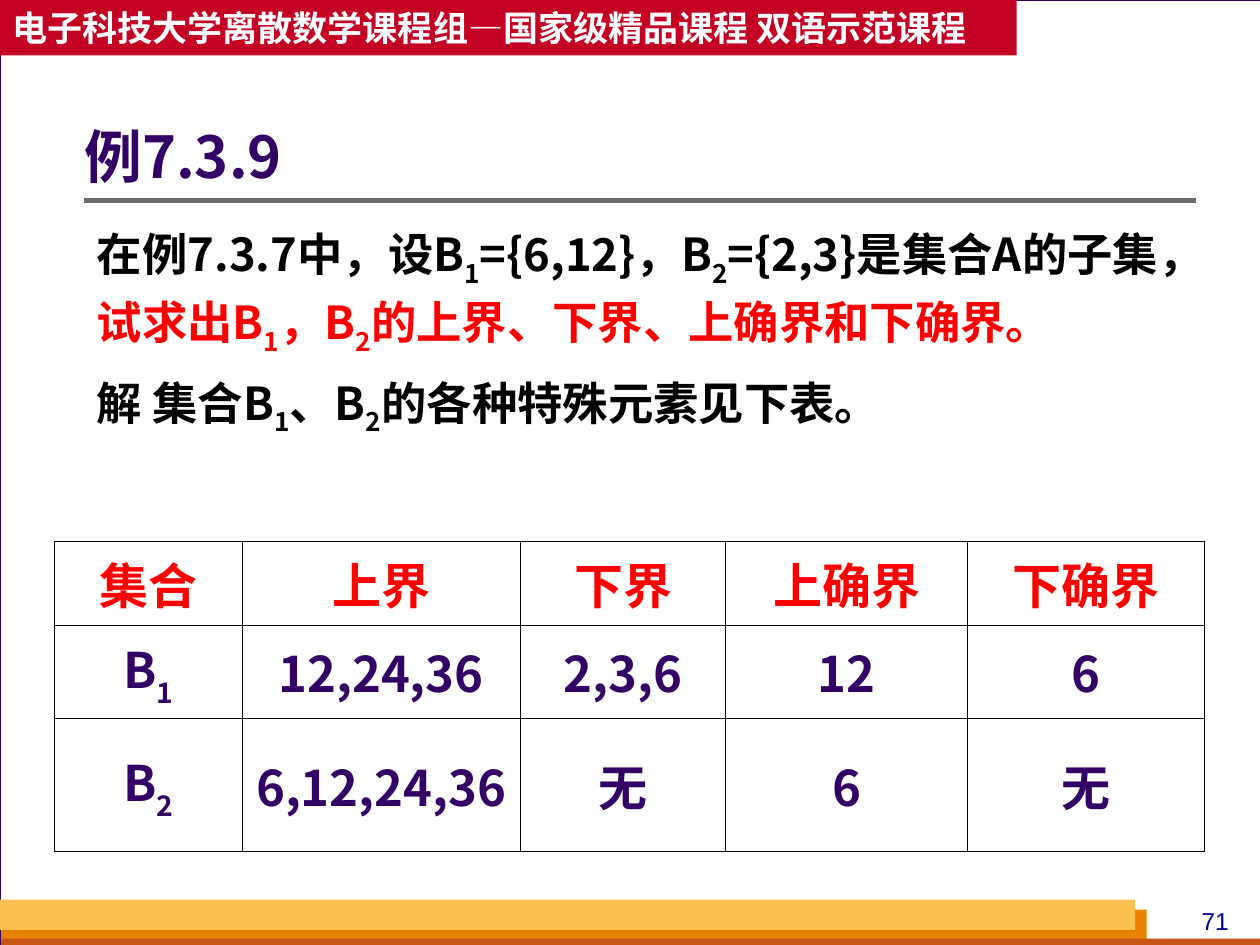
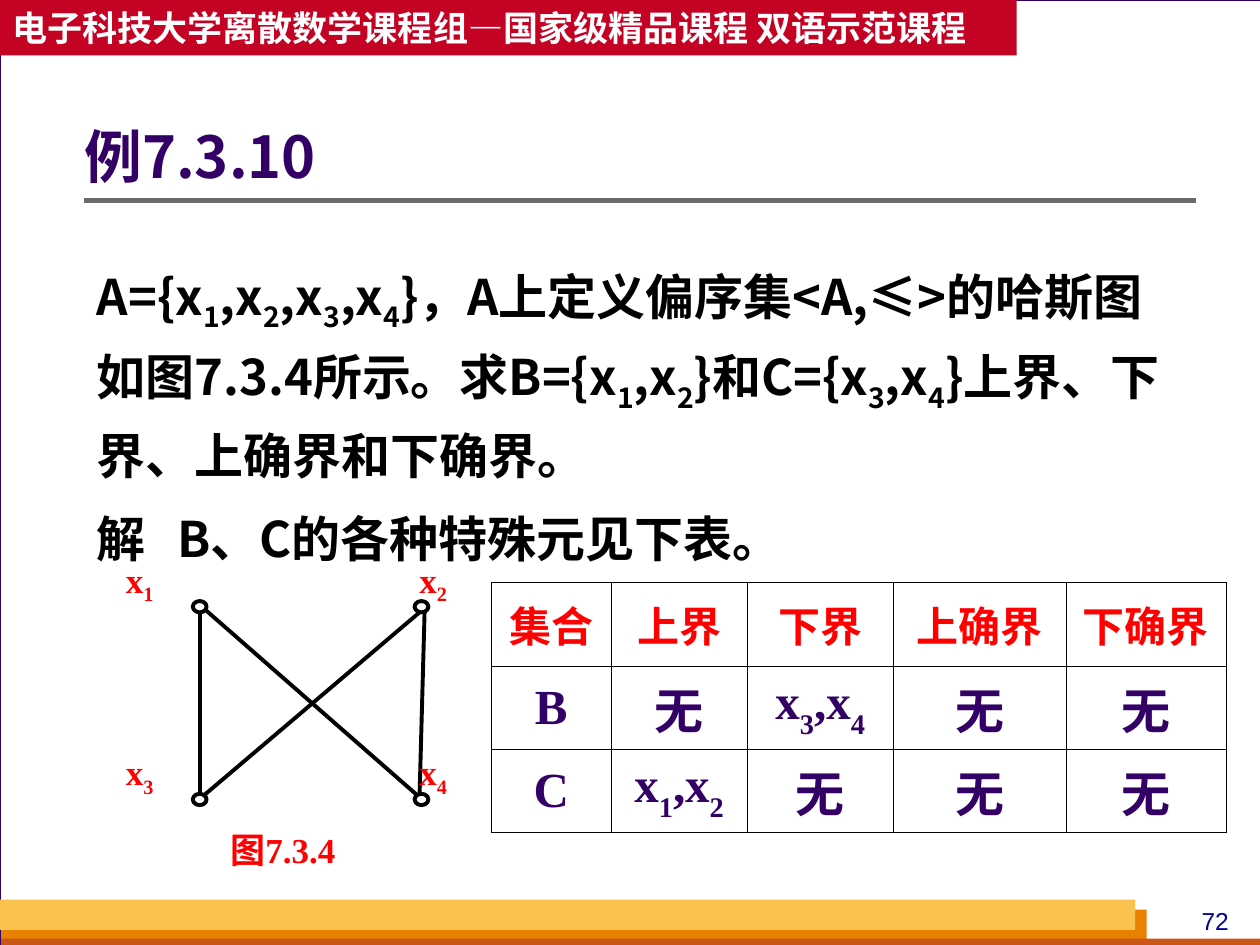
"""Build two lecture slides on bounds of subsets in partially ordered sets."""
from itertools import product

from lxml.etree import SubElement
from pptx import Presentation
from pptx.dml.color import RGBColor
from pptx.enum.shapes import MSO_CONNECTOR, MSO_SHAPE
from pptx.enum.text import MSO_ANCHOR, PP_ALIGN
from pptx.oxml.ns import qn
from pptx.util import Inches, Pt

SANS, SERIF, PLAIN = "Noto Sans CJK SC", "Times New Roman", "Arial"
BLACK, WHITE, RED, PURPLE, NAVY = "000000", "FFFFFF", "FF0000", "330066", "000099"
GREY, CRIMSON = "6B6B6B", "C30224"

COURSE = "电子科技大学离散数学课程组—国家级精品课程 双语示范课程"
BANDS = [
    ((0.01, 7.22, 9.09, 0.28), "E88000"),
    ((0.01, 7.45, 10, 0.08), "C95616"),
    ((0, 7.14, 9.01, 0.24), "FCC24F"),
]
HEADINGS = ["集合", "上界", "下界", "上确界", "下确界"]

# An underscore lowers the character that follows it.
SLIDES = [
    {
        "number": "71",
        "title": "例7.3.9",
        "body": {
            "at": (0.67, 1.7, 9.08, 2.34), "size": 25.9, "spacing": 1.1,
            "paragraphs": [
                [("在例7.3.7中，设B_1={6,12}，B_2={2,3}是集合A的子集，", BLACK),
                 ("试求出B_1，B_2的上界、下界、上确界和下确界。", RED)],
                [("解 集合B_1、B_2的各种特殊元素见下表。", BLACK)],
            ],
        },
        "table": {
            "at": (0.43, 4.3), "font": SANS, "heading_size": 28,
            "columns": [1.49, 2.21, 1.63, 1.92, 1.88], "heights": [0.66, 0.74, 1.06],
            "rows": [["B_1", "12,24,36", "2,3,6", "12", "6"],
                     ["B_2", "6,12,24,36", "无", "6", "无"]],
        },
    },
    {
        "number": "72",
        "title": "例7.3.10",
        "body": {
            "at": (0.67, 1.96, 8.82, 5.02), "size": 28, "spacing": 1.2,
            "paragraphs": [
                [("A={x_1,x_2,x_3,x_4}，A上定义偏序集<A,≤>的哈斯图如图7.3.4所示。"
                  "求B={x_1,x_2}和C={x_3,x_4}上界、下界、上确界和下确界。", BLACK)],
                [("解\tB、C的各种特殊元见下表。", BLACK)],
            ],
        },
        "table": {
            "at": (3.9, 4.62), "font": SERIF, "heading_size": 24,
            "columns": [0.95, 1.08, 1.16, 1.37, 1.27], "heights": [0.67, 0.66, 0.66],
            "rows": [["B", "无", "x_3,x_4", "无", "无"],
                     ["C", "x_1,x_2", "无", "无", "无"]],
        },
        "diagram": {
            "node_lefts": (1.53, 3.29), "node_tops": (4.77, 6.3), "node_size": (0.11, 0.09),
            "label_lefts": (0.9, 3.23), "label_rise": 0.39,
            "edges": [((1.59, 4.87), (1.59, 6.29)), ((3.37, 4.86), (3.33, 6.31)),
                      ((1.63, 4.84), (3.31, 6.31)), ((3.33, 4.86), (1.61, 6.32))],
            "caption": "图7.3.4", "caption_at": (1.73, 6.53, 1.5, 0.45),
        },
    },
]


def colour(code):
    return RGBColor.from_string(code)


def inches(values):
    return [Inches(value) for value in values]


def add_span(para, text, baseline, font, size, code, bold):
    span = para.add_run()
    span.text = text
    for name, value in {"name": font, "size": Pt(size), "bold": bold}.items():
        setattr(span.font, name, value)
    span.font.color.rgb = colour(code)
    properties = span.font._element
    SubElement(properties, qn("a:ea"), typeface=SANS)
    if baseline:
        properties.set("baseline", str(baseline * 1000))


def write(para, text, font, size, code, bold=True, lowering=-25):
    first, *others = text.split("_")
    pieces = [(first, 0)]
    for other in others:
        pieces += [(other[0], lowering), (other[1:], 0)]
    for piece, baseline in pieces:
        if piece:
            add_span(para, piece, baseline, font, size, code, bold)


def add_box(page, at, anchor=MSO_ANCHOR.TOP, left=0.1):
    frame = page.shapes.add_textbox(*inches(at)).text_frame
    settings = {"word_wrap": True, "vertical_anchor": anchor, "margin_left": Inches(left)}
    for name, value in settings.items():
        setattr(frame, name, value)
    return frame


def add_figure(page, kind, at, fill=None, line=None, width=0.75):
    figure = page.shapes.add_shape(kind, *inches(at))
    figure.shadow.inherit = False
    if fill:
        figure.fill.solid()
        figure.fill.fore_color.rgb = colour(fill)
    else:
        figure.fill.background()
    if line:
        figure.line.color.rgb = colour(line)
        figure.line.width = Pt(width)
    else:
        figure.line.fill.background()
    return figure


def add_line(page, start, end, code, width):
    line = page.shapes.add_connector(MSO_CONNECTOR.STRAIGHT, *inches(start + end))
    line.line.color.rgb = colour(code)
    line.line.width = Pt(width)
    SubElement(line._element.spPr, qn("a:effectLst"))


def add_frame(page, title, number):
    add_figure(page, MSO_SHAPE.RECTANGLE, (0, 0, 10.01, 7.5), WHITE, PURPLE)
    for at, fill in BANDS:
        add_figure(page, MSO_SHAPE.RECTANGLE, at, fill)
    para = add_box(page, (9.33, 7.14, 0.63, 0.34)).paragraphs[0]
    para.alignment = PP_ALIGN.CENTER
    write(para, number, PLAIN, 14, NAVY, bold=False)
    add_line(page, (0.67, 1.59), (9.49, 1.59), GREY, 3)
    header = add_figure(page, MSO_SHAPE.RECTANGLE, (0, 0, 8.07, 0.44), CRIMSON)
    header.text_frame.vertical_anchor = MSO_ANCHOR.MIDDLE
    para = header.text_frame.paragraphs[0]
    para.alignment = PP_ALIGN.LEFT
    write(para, COURSE, SANS, 20, WHITE)
    para = add_box(page, (0.67, 0.76, 8.82, 1.01), MSO_ANCHOR.MIDDLE, 0).paragraphs[0]
    para.line_spacing = 0.9
    write(para, title, SANS, 33, PURPLE)


def add_body(page, at, size, spacing, paragraphs):
    frame = add_box(page, at)
    for index, parts in enumerate(paragraphs):
        para = frame.add_paragraph() if index else frame.paragraphs[0]
        para.line_spacing = spacing
        para.space_before = Pt(7 if index else 0)
        if any("\t" in text for text, code in parts):
            stops = SubElement(para._p.get_or_add_pPr(), qn("a:tabLst"))
            SubElement(stops, qn("a:tab"), pos=str(Inches(0.64)), algn="l")
        for text, code in parts:
            write(para, text, SANS, size, code)


def add_borders(cell):
    properties = cell._tc.get_or_add_tcPr()
    for index, side in enumerate("LRTB"):
        border = SubElement(properties, qn(f"a:ln{side}"), w=str(Pt(0.45)))
        fill = SubElement(border, qn("a:solidFill"))
        SubElement(fill, qn("a:srgbClr"), val=BLACK)
        properties.insert(index, border)


def add_bounds_table(page, at, font, heading_size, columns, heights, rows):
    size = (sum(columns), sum(heights))
    table = page.shapes.add_table(len(heights), len(columns), *inches(at + size)).table
    table.first_row = table.horz_banding = False
    for column, width in zip(table.columns, columns):
        column.width = Inches(width)
    for row, height in zip(table.rows, heights):
        row.height = Inches(height)
    for row, texts in enumerate([HEADINGS] + rows):
        size, code = (28, PURPLE) if row else (heading_size, RED)
        for column, text in enumerate(texts):
            cell = table.cell(row, column)
            cell.fill.background()
            cell.vertical_anchor = MSO_ANCHOR.MIDDLE
            add_borders(cell)
            para = cell.text_frame.paragraphs[0]
            para.alignment = PP_ALIGN.CENTER
            write(para, text, font, size, code, lowering=-30)


def add_diagram(page, node_lefts, node_tops, node_size, label_lefts, label_rise,
                edges, caption, caption_at):
    for start, end in edges:
        add_line(page, start, end, BLACK, 2.25)
    columns = list(zip(node_lefts, label_lefts))
    for index, (top, (left, label_left)) in enumerate(product(node_tops, columns), 1):
        add_figure(page, MSO_SHAPE.OVAL, (left, top) + node_size, line=BLACK, width=2.25)
        label = add_box(page, (label_left, top - label_rise, 1.06, 0.76))
        write(label.paragraphs[0], f"x_{index}", SERIF, 20, RED)
    write(add_box(page, caption_at).paragraphs[0], caption, SERIF, 20, RED)


def main():
    deck = Presentation()
    deck.slide_width, deck.slide_height = Inches(10), Inches(7.5)
    for content in SLIDES:
        page = deck.slides.add_slide(deck.slide_layouts[6])
        add_frame(page, content["title"], content["number"])
        add_body(page, **content["body"])
        if "diagram" in content:
            add_diagram(page, **content["diagram"])
        add_bounds_table(page, **content["table"])
    deck.save("out.pptx")


if __name__ == "__main__":
    main()
